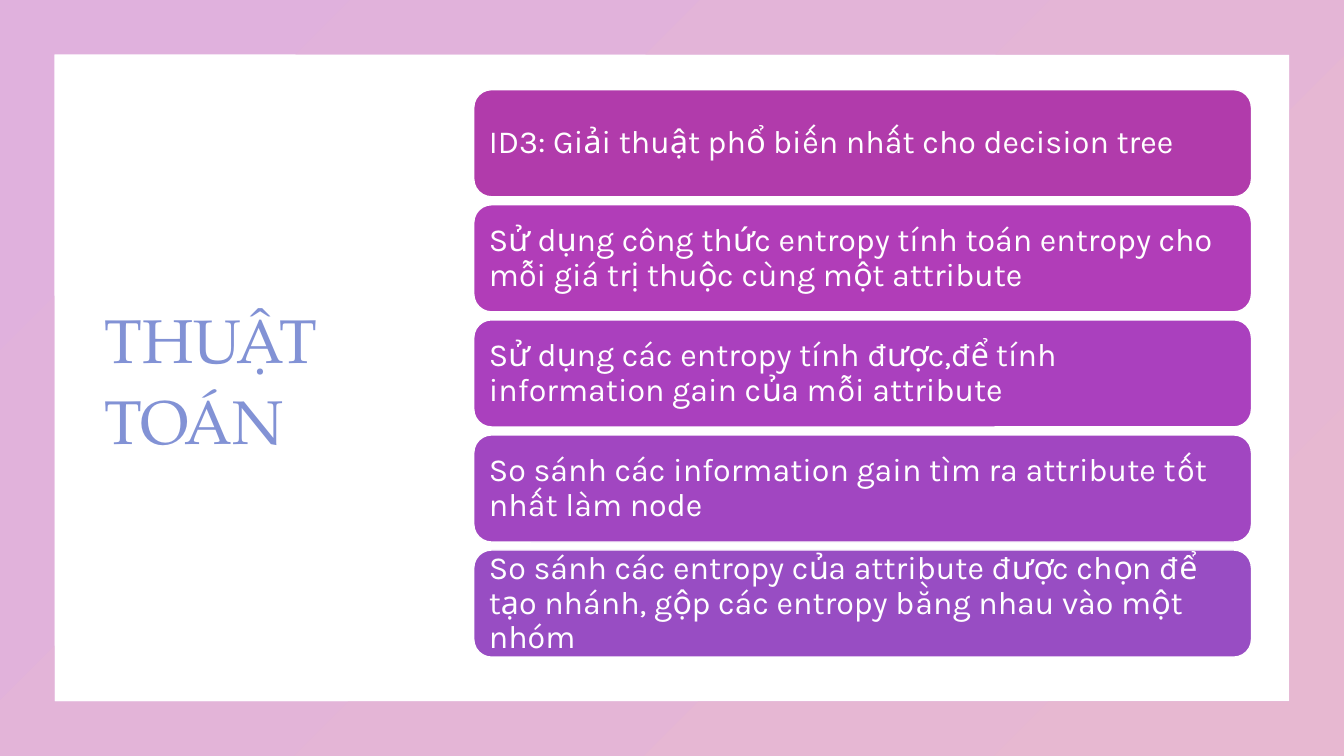
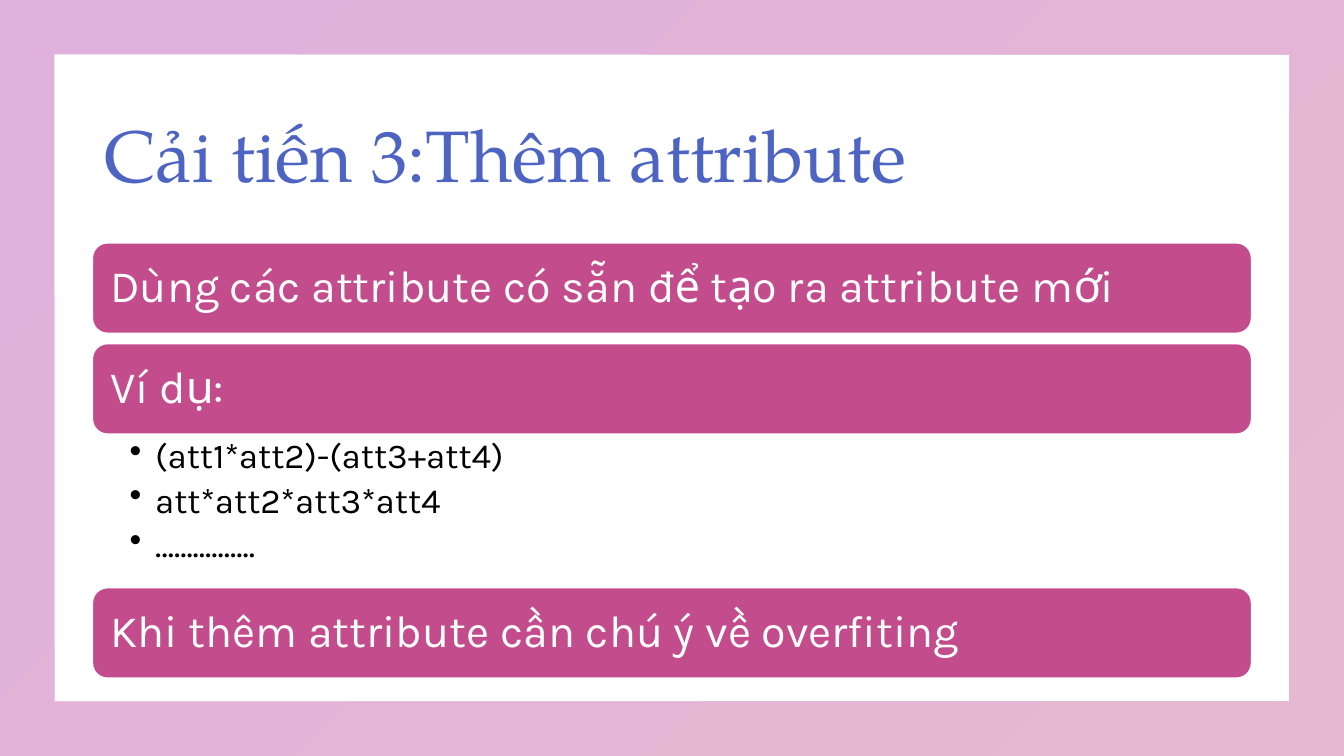
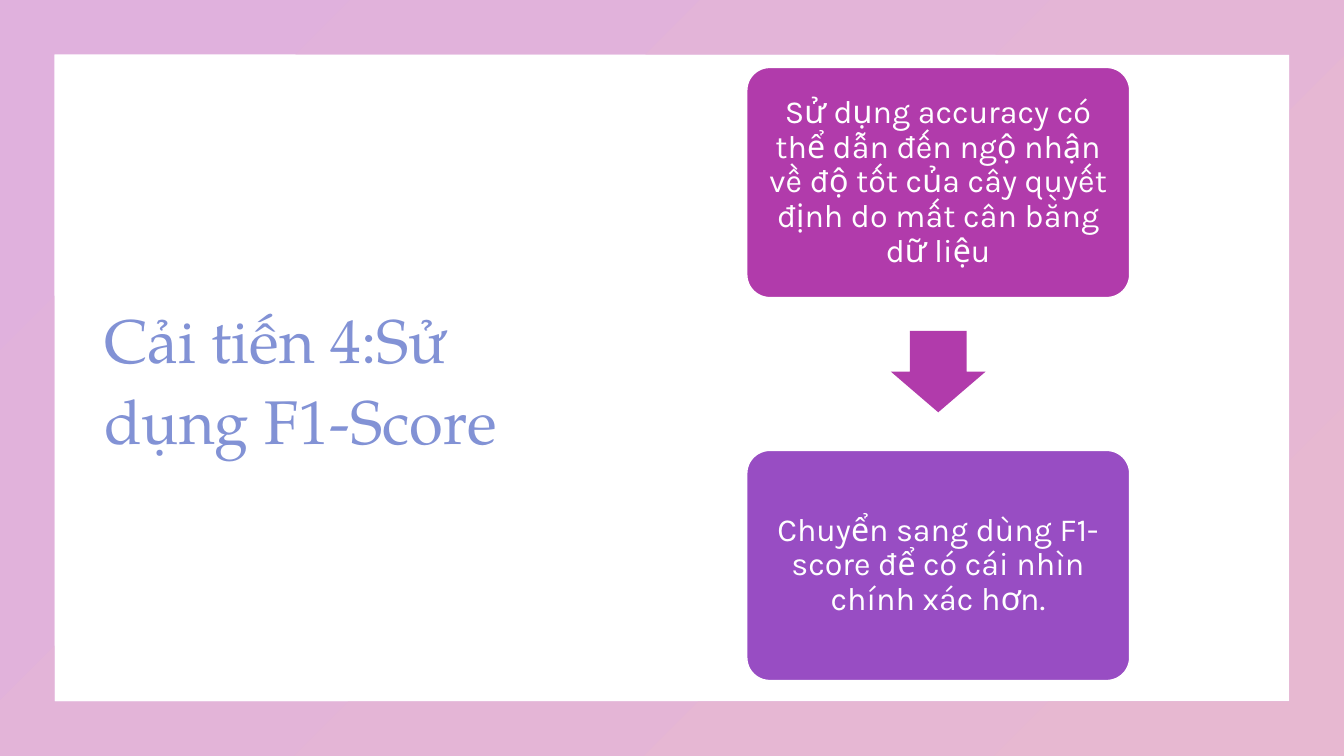
"""Three slides on decision trees: the algorithm and two improvements."""
import lxml.etree
import pptx
import pptx.dml.color
import pptx.enum.shapes
import pptx.enum.text
import pptx.oxml.ns
import pptx.util

Cm, Pt = pptx.util.Cm, pptx.util.Pt
RGBColor = pptx.dml.color.RGBColor
KIND = pptx.enum.shapes.MSO_SHAPE
ALIGN = pptx.enum.text.PP_ALIGN
ANCHOR = pptx.enum.text.MSO_ANCHOR

STEPS = [
    "ID3: Giải thuật phổ biến nhất cho decision tree",
    "Sử dụng công thức entropy tính toán entropy cho mỗi giá trị thuộc cùng một attribute",
    "Sử dụng các entropy tính được,để tính information gain của mỗi attribute",
    "So sánh các information gain tìm ra attribute tốt nhất làm node",
    "So sánh các entropy của attribute được chọn để tạo nhánh, gộp các entropy bằng nhau vào một nhóm",
]
IDEAS = [
    ("Dùng các attribute có sẵn để tạo ra attribute mới", []),
    ("Ví dụ:", ["(att1*att2)-(att3+att4)", "att*att2*att3*att4", "…............."]),
    ("Khi thêm attribute cần chú ý về overfiting", []),
]
SCORES = [
    "Sử dụng accuracy có thể dẫn đến ngộ nhận về độ tốt của cây quyết định do mất cân bằng dữ liệu",
    "Chuyển sang dùng F1-score để có cái nhìn chính xác hơn.",
]

WHITE = RGBColor(0xFF, 0xFF, 0xFF)
BLACK = RGBColor(0, 0, 0)
BLUE = RGBColor(0x4D, 0x64, 0xC3)
PALE = RGBColor(0x82, 0x92, 0xD5)
PINK = RGBColor(0xC3, 0x4D, 0x8C)
EDGES = RGBColor(0xE0, 0xB1, 0xDD), RGBColor(0xE7, 0xB8, 0xD1)
TONES = [
    RGBColor(0xB1, 0x3B, 0xAB),
    RGBColor(0xB1, 0x3D, 0xB8),
    RGBColor(0xAA, 0x40, 0xBE),
    RGBColor(0xA1, 0x46, 0xC1),
    RGBColor(0x98, 0x4D, 0xC3),
]
HEAD, BODY = "TeX Gyre Pagella", "Karla"
WIDE, HIGH = 33.87, 19.05
LEFT, SPAN = 2.33, 29.21


def place(x, y, w, h):
    return Cm(x), Cm(y), Cm(w), Cm(h)


def write(shape, lines, font, size, color, pads, space=0.9, align=ALIGN.LEFT, anchor=ANCHOR.MIDDLE):
    frame = shape.text_frame
    frame.text = "\n".join(lines)
    frame.word_wrap = True
    frame.vertical_anchor = anchor
    frame.margin_left, frame.margin_top, frame.margin_right, frame.margin_bottom = map(Cm, pads)
    for par in frame.paragraphs:
        par.line_spacing = space
        par.alignment = align
        for run in par.runs:
            run.font.name = font
            run.font.size = Pt(size)
            run.font.color.rgb = color
    return frame


def start(deck, title, box, size, color):
    slide = deck.slides.add_slide(deck.slide_layouts[6])
    frame = slide.shapes.add_shape(KIND.FRAME, *place(0, 0, WIDE, HIGH))
    frame.adjustments[0] = 0.072
    frame.shadow.inherit = False
    frame.line.fill.background()
    frame.fill.gradient()
    frame.fill.gradient_angle = 315
    for stop, tone in zip(frame.fill.gradient_stops, EDGES):
        stop.color.rgb = tone
    head = slide.shapes.add_textbox(*place(*box))
    write(head, [title], HEAD, size, color, (0.3, 0.3, 0.3, 0.25), 1.1)
    return slide


def solid(slide, kind, box, tone):
    shape = slide.shapes.add_shape(kind, *place(*box))
    shape.shadow.inherit = False
    shape.fill.solid()
    shape.fill.fore_color.rgb = tone
    shape.line.fill.background()
    return shape


def card(slide, box, tone, text, size=23, pad=0.25, align=ALIGN.LEFT):
    shape = solid(slide, KIND.ROUNDED_RECTANGLE, box, tone)
    shape.line.color.rgb = WHITE
    shape.line.width = Pt(1)
    write(shape, [text], BODY, size, WHITE, [pad] * 4, align=align)
    return shape


def bullets(slide, box, lines):
    shape = slide.shapes.add_textbox(*place(*box))
    frame = write(shape, lines, BODY, 25, BLACK, (0.94, 0.1, 0.64, 0.1), anchor=ANCHOR.TOP)
    for par in frame.paragraphs:
        par.space_after = Pt(5)
        props = par._p.get_or_add_pPr()
        props.set("marL", str(Cm(0.64)))
        props.set("indent", str(-Cm(0.64)))
        mark = lxml.etree.SubElement(props, pptx.oxml.ns.qn("a:buChar"))
        mark.set("char", "•")


def steps(deck):
    slide = start(deck, "THUẬT TOÁN", (LEFT, 1.7, 8.9, 15.47), 44, PALE)
    for row, (text, tone) in enumerate(zip(STEPS, TONES)):
        card(slide, (11.94, 2.26 + row * 2.9, 19.6, 2.7), tone, text)


def ideas(deck):
    slide = start(deck, "Cải tiến 3:Thêm attribute", (LEFT, 1.88, SPAN, 3.68), 52, BLUE)
    top, tall, gap, deep = 6.12, 2.28, 0.26, 3.87
    for text, notes in IDEAS:
        card(slide, (LEFT, top, SPAN, tall), PINK, text, 32, 0.34)
        top += tall
        if notes:
            bullets(slide, (LEFT, top, SPAN, deep), notes)
        top += deep if notes else gap


def scores(deck):
    slide = start(deck, "Cải tiến 4:Sử dụng F1-Score", (LEFT, 1.7, 12.34, 15.47), 44, PALE)
    left, top, wide, tall, pitch = 18.82, 1.7, 9.65, 5.8, 9.65
    for row, (text, tone) in enumerate(zip(SCORES, (TONES[0], TONES[-1]))):
        box = card(slide, (left, top + row * pitch, wide, tall), tone, text, align=ALIGN.CENTER)
        box.adjustments[0] = 0.1
    broad, long = 2.39, 2.05
    arrow = solid(slide, KIND.DOWN_ARROW, (left + (wide - broad) / 2, 8.34, broad, long), TONES[0])
    arrow.adjustments[0] = 0.6
    arrow.adjustments[1] = 0.5


def main():
    deck = pptx.Presentation()
    deck.slide_width, deck.slide_height = Cm(WIDE), Cm(HIGH)
    for build in (steps, ideas, scores):
        build(deck)
    deck.save("out.pptx")


if __name__ == "__main__":
    main()
